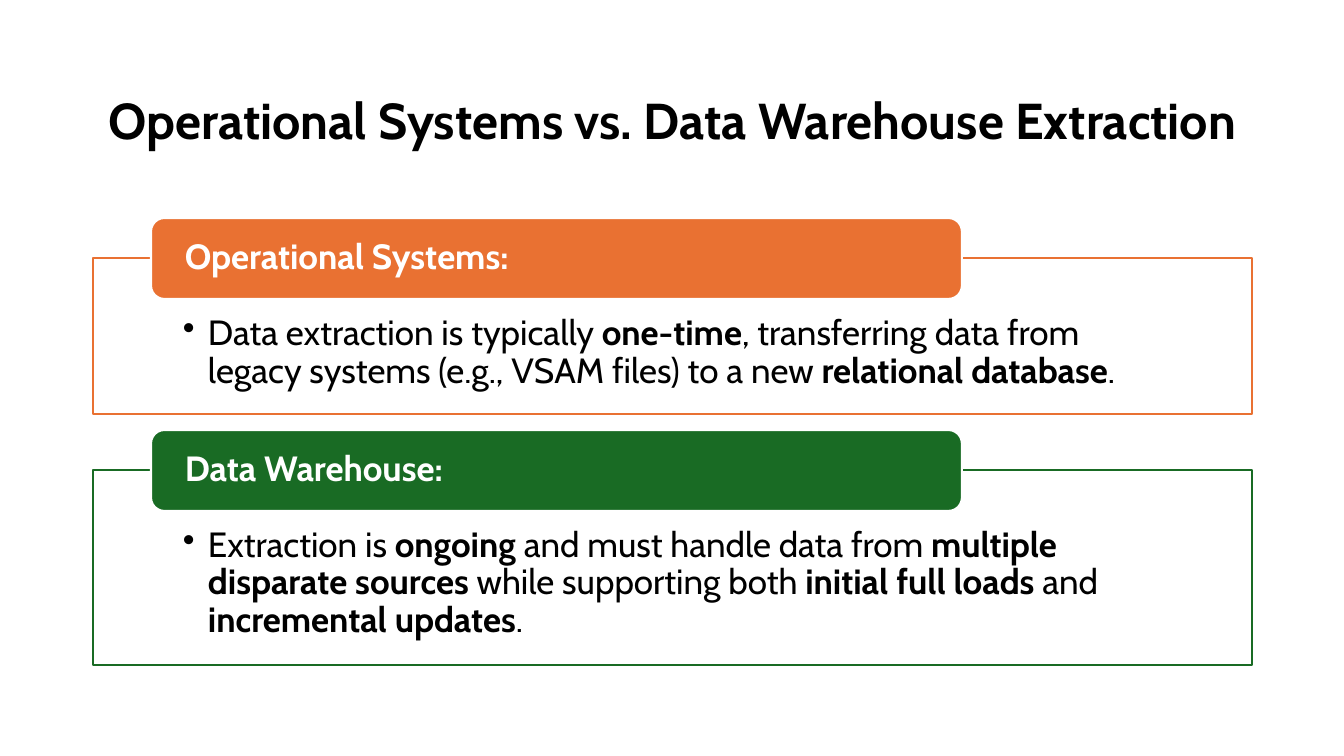
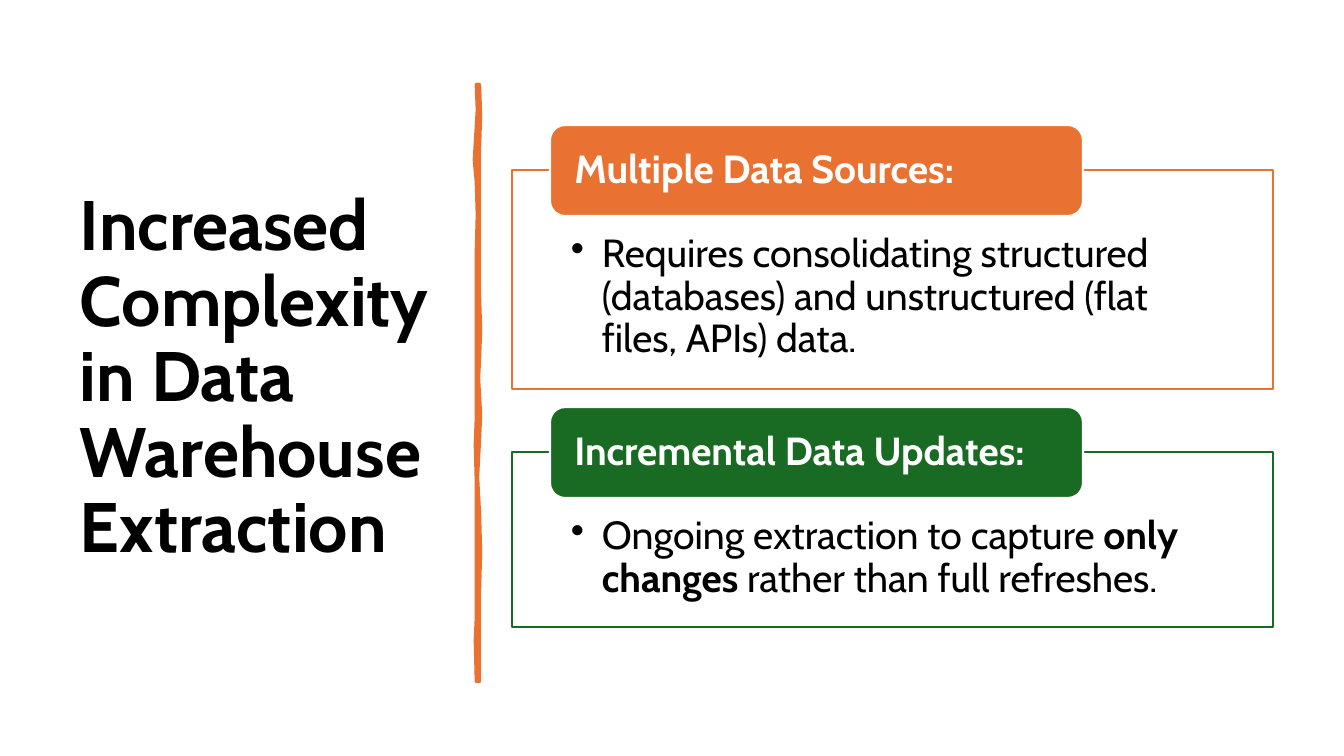
from lxml import etree
from pptx import Presentation
from pptx.dml.color import RGBColor
from pptx.enum.shapes import MSO_SHAPE
from pptx.enum.text import MSO_ANCHOR, PP_ALIGN
from pptx.oxml.ns import qn
from pptx.util import Emu, Pt

RECTANGLE, ROUNDED = MSO_SHAPE.RECTANGLE, MSO_SHAPE.ROUNDED_RECTANGLE
TOP, MIDDLE = MSO_ANCHOR.TOP, MSO_ANCHOR.MIDDLE
LEFT, CENTER = PP_ALIGN.LEFT, PP_ALIGN.CENTER
EMU_PER_PX = 914400 / 100.8
FONT = "Cabin"
COLORS = {"black": "000000", "white": "FFFFFF", "orange": "E97132", "green": "196B24"}
BRUSH_RIGHT = [
    (479, 85), (480, 115), (479, 147), (479, 296), (480, 330), (479, 359),
    (478, 378), (480, 415), (479, 439), (477, 477), (479, 514), (480, 552),
    (479, 589), (479, 681),
]
BRUSH_LEFT = [
    (477, 681), (476, 640), (477, 618), (477, 481), (476, 445), (477, 418),
    (477, 252), (478, 215), (477, 182), (475, 160), (478, 110), (477, 85),
]


def px(length):
    return Emu(round(length * EMU_PER_PX))


def color(name):
    return RGBColor.from_string(COLORS[name])


class Deck:
    """Hold the shared style, the presentation and the current slide."""

    def __init__(self):
        self.deck = Presentation()
        self.deck.slide_width, self.deck.slide_height = px(1344), px(756)
        self.page = None

    def add_page(self):
        self.page = self.deck.slides.add_slide(self.deck.slide_layouts[6])

    def paint(self, shape, fill, line, width):
        shape.shadow.inherit = False
        shape.fill.solid()
        shape.fill.fore_color.rgb = color(fill)
        shape.line.color.rgb = color(line)
        shape.line.width = Pt(width)

    def set_text(self, shape, text, size, ink, insets, anchor=MIDDLE, align=LEFT, bold=False, indent=0):
        frame = shape.text_frame
        frame.word_wrap = True
        frame.vertical_anchor = anchor
        frame.margin_left, frame.margin_top, frame.margin_right, frame.margin_bottom = map(px, insets)
        para = frame.paragraphs[0]
        para.alignment = align
        para.line_spacing = 0.9
        if indent:
            properties = para._p.get_or_add_pPr()
            properties.set("marL", str(px(indent)))
            properties.set("indent", str(-px(indent)))
            etree.SubElement(properties, qn("a:buChar")).set("char", "•")
        para.font.name = FONT
        para.font.size = Pt(size)
        para.font.color.rgb = color(ink)
        para.font.bold = bold
        for index, part in enumerate(text.split("*")):
            span = para.add_run()
            span.text = part
            if index % 2:
                span.font.bold = True

    def title(self, text, bounds, size, align):
        box = self.page.shapes.add_textbox(*map(px, bounds))
        self.set_text(box, text, size, "black", (10, 5, 10, 5), align=align, bold=True)

    def card(self, left, top, width, height, tab_height, size, indent, hue, heading, body):
        frame = self.page.shapes.add_shape(RECTANGLE, *map(px, (left, top, width, height)))
        self.paint(frame, "white", hue, 1.5)
        side = round(width * 0.0776)
        insets = (side, round(size * 2.3), side, round(size * 0.78))
        self.set_text(frame, body, size, "black", insets, anchor=TOP, indent=indent)

        bounds = (left + round(width * 0.05), top - tab_height // 2, round(width * 0.7), tab_height)
        tab = self.page.shapes.add_shape(ROUNDED, *map(px, bounds))
        self.paint(tab, hue, "white", 1.5)
        side = round(width * 0.0262)
        self.set_text(tab, heading, size, "white", (side, 0, side, 0), bold=True)

    def cards(self, left, top, width, gap, tab_height, size, indent, items):
        for hue, (height, heading, body) in zip(("orange", "green"), items):
            self.card(left, top, width, height, tab_height, size, indent, hue, heading, body)
            top += height + gap

    def brush_stroke(self, points):
        builder = self.page.shapes.build_freeform(*points[0], scale=EMU_PER_PX)
        builder.add_line_segments(points[1:], close=True)
        self.paint(builder.convert_to_shape(), "orange", "orange", 3.25)


def main():
    deck = Deck()

    deck.add_page()
    deck.title("Operational Systems vs. Data Warehouse Extraction", (93, 61, 1159, 125), 36, CENTER)
    deck.cards(93, 258, 1159, 56, 81, 25, 25, [
        (156, "Operational Systems:",
         "Data extraction is typically *one-time*, transferring data from legacy systems "
         "(e.g., VSAM files) to a new *relational database*."),
        (195, "Data Warehouse:",
         "Extraction is *ongoing* and must handle data from *multiple disparate sources* "
         "while supporting both *initial full loads* and *incremental updates*."),
    ])

    deck.add_page()
    deck.title("Increased Complexity in Data Warehouse Extraction", (70, 71, 377, 616), 50, LEFT)
    deck.brush_stroke(BRUSH_RIGHT + BRUSH_LEFT)
    deck.cards(512, 170, 761, 63, 91, 28, 31, [
        (219, "Multiple Data Sources:",
         "Requires consolidating structured (databases) and unstructured (flat files, APIs) data."),
        (175, "Incremental Data Updates:",
         "Ongoing extraction to capture *only changes* rather than full refreshes."),
    ])

    deck.deck.save("out.pptx")


if __name__ == "__main__":
    main()
